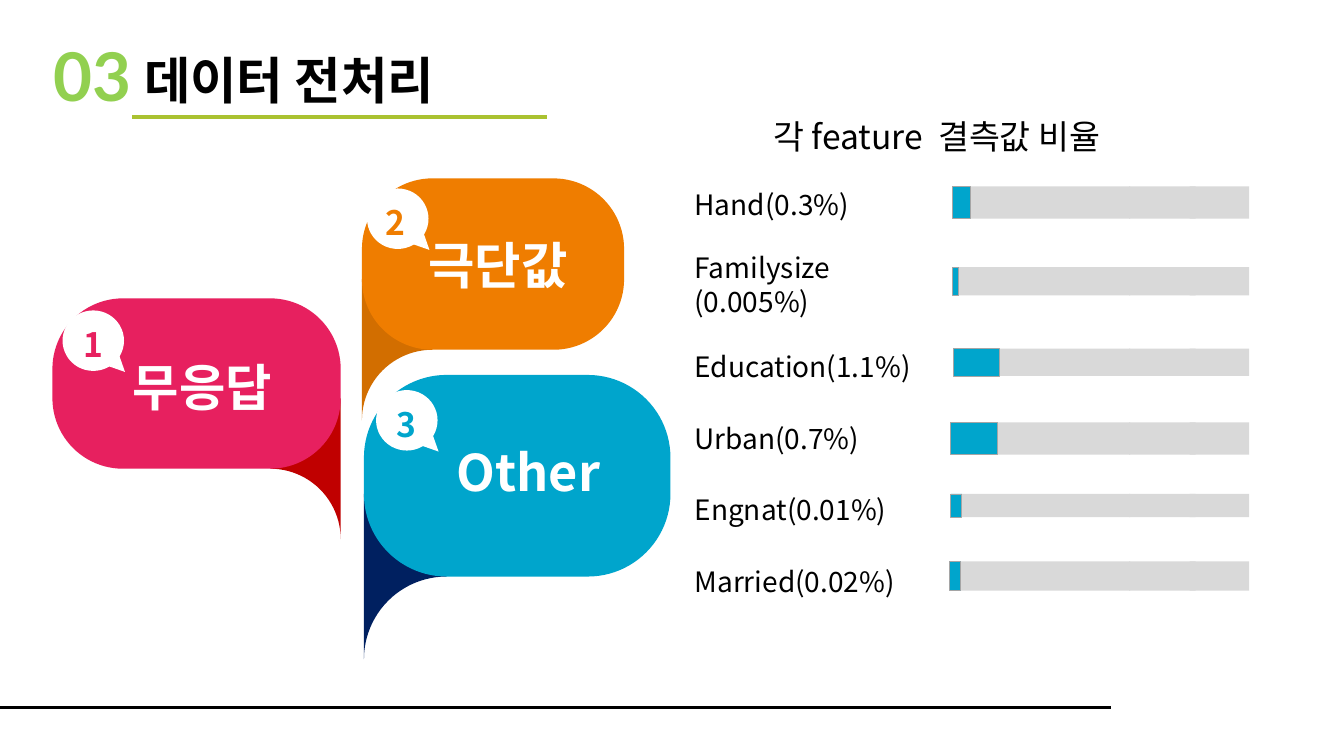
"""Build the data preprocessing slide with three bubbles and missing-value bars."""
from math import cos, pi, sin

from lxml.etree import SubElement
from pptx import Presentation
from pptx.dml.color import RGBColor
from pptx.enum.shapes import MSO_CONNECTOR, MSO_SHAPE
from pptx.enum.text import MSO_ANCHOR, PP_ALIGN
from pptx.oxml.ns import qn
from pptx.util import Inches, Pt

BLACK = RGBColor(0x00, 0x00, 0x00)
WHITE = RGBColor(0xFF, 0xFF, 0xFF)
TRACK_GRAY = RGBColor(0xD9, 0xD9, 0xD9)
BORDER_GRAY = RGBColor(0xA5, 0xA5, 0xA5)
LIGHT_GREEN = RGBColor(0x92, 0xD0, 0x50)
OLIVE = RGBColor(0xAA, 0xC2, 0x31)
ORANGE = RGBColor(0xEF, 0x7D, 0x00)
DARK_ORANGE = RGBColor(0xD2, 0x6E, 0x00)
BLUE = RGBColor(0x00, 0xA5, 0xCC)
NAVY = RGBColor(0x00, 0x20, 0x60)
PINK = RGBColor(0xE7, 0x20, 0x5F)
RED = RGBColor(0xC0, 0x00, 0x00)
SANS = "Noto Sans CJK KR"

SECTION_NUMBER = "03"
TITLE = "데이터 전처리"
CHART_TITLE = "각 feature  결측값 비율"

BUBBLES = [
    dict(body=(3.59, 1.77, 2.6, 1.7), radius=0.7, tail_side="left", fill=ORANGE, shade=DARK_ORANGE,
         number="2", badge=(3.64, 1.87), align=PP_ALIGN.LEFT,
         label="극단값", label_box=(4.15, 2.34, 1.69, 0.51)),
    dict(body=(3.61, 3.72, 3.04, 2.0), radius=0.82, tail_side="left", fill=BLUE, shade=NAVY,
         number="3", badge=(3.73, 3.87), align=PP_ALIGN.CENTER,
         label="Other", label_box=(4.43, 4.4, 1.67, 0.6)),
    dict(body=(0.52, 2.96, 2.86, 1.69), radius=0.7, tail_side="right", fill=PINK, shade=RED,
         number="1", badge=(0.62, 3.08), align=PP_ALIGN.CENTER,
         label="무응답", label_box=(1.22, 3.55, 1.81, 0.48)),
]
BADGE_SIZE = (0.61, 0.6)
POINTER = [(0.62, 0.61), (0.42, 0.54), (0.55, 0.41)]

# label, label top, label height, bar left, bar top, bar height, value width, track left
FEATURES = [
    ("Hand(0.3%)", 1.81, 0.44, 9.45, 1.85, 0.32, 0.17, 9.62),
    ("Familysize (0.005%)", 2.44, 0.77, 9.45, 2.65, 0.28, 0.06, 9.5),
    ("Education(1.1%)", 3.42, 0.44, 9.46, 3.46, 0.27, 0.45, 9.52),
    ("Urban(0.7%)", 4.13, 0.44, 9.43, 4.19, 0.32, 0.46, 9.54),
    ("Engnat(0.01%)", 4.84, 0.44, 9.43, 4.9, 0.23, 0.11, 9.54),
    ("Married(0.02%)", 5.55, 0.44, 9.42, 5.57, 0.29, 0.11, 9.53),
]
LABEL_LEFT, LABEL_WIDTH = 6.79, 2.69
TRACK_SPLIT = 11.21
TRACK_ENDS = [(11.8, 0.59), (11.2, 0.66)]


def write(shape, text, size, color, bold=False, align=PP_ALIGN.LEFT, font=SANS, anchor=MSO_ANCHOR.TOP):
    frame = shape.text_frame
    frame.text = text
    frame.word_wrap = True
    frame.vertical_anchor = anchor
    paragraph = frame.paragraphs[0]
    paragraph.alignment = align
    run = paragraph.runs[0]
    run.font.size = Pt(size)
    run.font.bold = bold
    run.font.name = font
    run.font.color.rgb = color
    SubElement(run.font._element, qn("a:ea")).set("typeface", font)
    return paragraph


def add_text(shapes, box, *args, **options):
    shape = shapes.add_textbox(*map(Inches, box))
    return shape, write(shape, *args, **options)


def add_heading(shapes, box, text, size, color, bold):
    paragraph = add_text(shapes, box, text, size, color, bold, PP_ALIGN.JUSTIFY)[1]
    paragraph.line_spacing = 0.9
    paragraph.space_before = Pt(10)


def paint(shape, fill, border=None):
    shape.shadow.inherit = False
    shape.fill.solid()
    shape.fill.fore_color.rgb = fill
    if border is None:
        shape.line.fill.background()
    else:
        shape.line.color.rgb = border
        shape.line.width = Pt(0.5)
    return shape


def add_preset(shapes, preset, box, fill, border=None):
    return paint(shapes.add_shape(preset, *map(Inches, box)), fill, border)


def add_outline(shapes, points, fill):
    corners = [(Inches(x), Inches(y)) for x, y in points]
    builder = shapes.build_freeform(*corners[0])
    builder.add_line_segments(corners[1:], close=True)
    return paint(builder.convert_to_shape(), fill)


def add_rule(shapes, left, right, y, color, width):
    line = shapes.add_connector(MSO_CONNECTOR.STRAIGHT, Inches(left), Inches(y), Inches(right), Inches(y))
    line.line.color.rgb = color
    line.line.width = Pt(width)
    SubElement(line._element.spPr, qn("a:effectLst"))


def add_bubble(shapes, bubble):
    left, top, width, height = bubble["body"]
    radius = bubble["radius"]
    edge, inward = (left, 1) if bubble["tail_side"] == "left" else (left + width, -1)
    bottom = top + height
    angles = [step * pi / 48 for step in range(25)]
    tail = [(edge + inward * radius * (1 - sin(a)), bottom + radius * (1 - cos(a))) for a in angles]
    group = shapes.add_group_shape().shapes
    add_outline(group, tail + [(edge, bottom - radius)], bubble["shade"])
    body = add_preset(group, MSO_SHAPE.ROUNDED_RECTANGLE, bubble["body"], bubble["fill"])
    body.adjustments[0] = radius / min(width, height)


def add_badge(shapes, bubble):
    x, y = bubble["badge"]
    group = shapes.add_group_shape().shapes
    circle = add_preset(group, MSO_SHAPE.OVAL, (x, y, *BADGE_SIZE), WHITE)
    write(circle, bubble["number"], 24, bubble["fill"], True, bubble["align"], anchor=MSO_ANCHOR.MIDDLE)
    circle.text_frame.margin_top = Inches(0.12)
    add_outline(group, [(x + dx, y + dy) for dx, dy in POINTER], WHITE)


def add_feature(shapes, label, label_top, label_height, left, top, height, value, track_left):
    add_text(shapes, (LABEL_LEFT, label_top, LABEL_WIDTH, label_height), label, 20, BLACK)
    group = shapes.add_group_shape().shapes
    for x, width in TRACK_ENDS + [(track_left, TRACK_SPLIT - track_left)]:
        add_preset(group, MSO_SHAPE.RECTANGLE, (x, top, width, height), TRACK_GRAY)
    add_preset(group, MSO_SHAPE.RECTANGLE, (left, top, value, height), BLUE, BORDER_GRAY)


def add_title(shapes):
    number, _ = add_text(shapes, (0.45, 0.34, 0.85, 0.81), SECTION_NUMBER, 48, LIGHT_GREEN, True,
                         PP_ALIGN.RIGHT, "Lato")
    frame = number.text_frame
    frame.margin_left = frame.margin_right = frame.margin_top = frame.margin_bottom = 0
    title = shapes.title
    title.left, title.top, title.width, title.height = map(Inches, (1.31, 0.37, 7.23, 0.79))
    write(title, TITLE, 36, BLACK, True).line_spacing = 1.1
    frame = title.text_frame
    frame.margin_left = frame.margin_right = Inches(0.12)
    frame.margin_top = frame.margin_bottom = Inches(0.06)
    add_rule(shapes, 1.31, 5.43, 1.16, OLIVE, 3)


def main():
    presentation = Presentation()
    presentation.slide_width, presentation.slide_height = Inches(13.33), Inches(7.5)
    slide = presentation.slides.add_slide(presentation.slide_layouts[5])
    shapes = slide.shapes
    for bubble in BUBBLES:
        add_bubble(shapes, bubble)
    for bubble in BUBBLES:
        add_badge(shapes, bubble)
        add_heading(shapes, bubble["label_box"], bubble["label"], 36, WHITE, True)
    for feature in FEATURES:
        add_feature(shapes, *feature)
    add_heading(shapes, (7.57, 1.15, 4.09, 0.38), CHART_TITLE, 24, BLACK, False)
    add_title(shapes)
    add_rule(shapes, 0, 11.02, 7.02, BLACK, 2.25)
    presentation.save("out.pptx")


if __name__ == "__main__":
    main()
